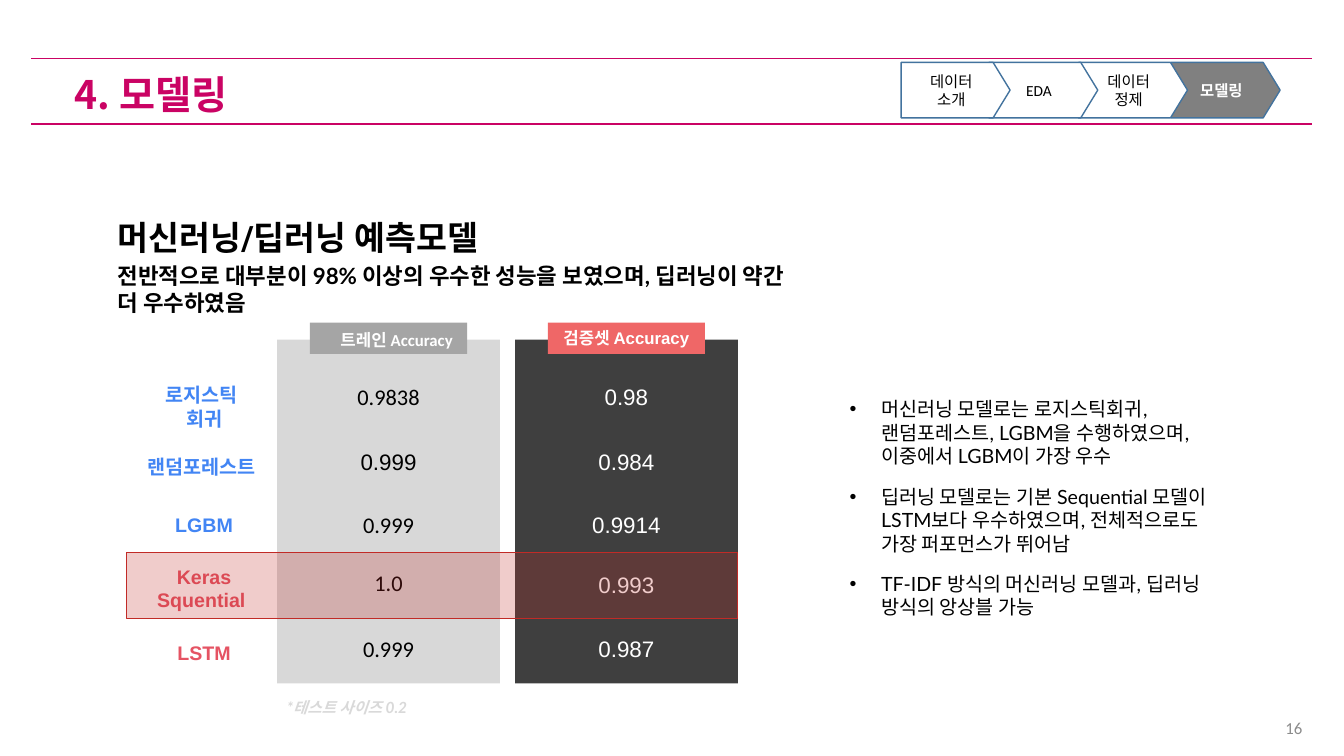
"""Build the modelling results slide that compares model accuracies."""
from dataclasses import dataclass

from lxml import etree
from pptx import Presentation
from pptx.dml.color import RGBColor
from pptx.enum.shapes import MSO_CONNECTOR, MSO_SHAPE
from pptx.enum.text import MSO_ANCHOR, PP_ALIGN
from pptx.oxml.ns import qn
from pptx.util import Pt

LEFT, CENTER, RIGHT = PP_ALIGN.LEFT, PP_ALIGN.CENTER, PP_ALIGN.RIGHT
TOP, MIDDLE = MSO_ANCHOR.TOP, MSO_ANCHOR.MIDDLE
RECTANGLE, PENTAGON = MSO_SHAPE.RECTANGLE, MSO_SHAPE.PENTAGON
STRAIGHT = MSO_CONNECTOR.STRAIGHT


@dataclass(frozen=True)
class Theme:
    """Colours, fonts and type sizes of the slide."""
    accent: str = "CA0364"
    black: str = "000000"
    white: str = "FFFFFF"
    page_grey: str = "8C8C8C"
    step_line: str = "43739E"
    step_active: str = "808080"
    train: str = "D8D8D8"
    train_tag: str = "A5A5A5"
    valid: str = "3F3F3F"
    valid_tag: str = "EF6767"
    machine: str = "4285F4"
    deep: str = "E55363"
    best: str = "C12B27"
    note_grey: str = "D9D9D9"
    korean: str = "Noto Sans CJK KR"
    plain: str = "Calibri"
    sans: str = "Arial"
    body: str = "Lato"
    display: str = "Roboto"
    title_size: int = 28
    heading_size: int = 24
    value_size: int = 16
    label_size: int = 14
    tag_size: int = 12
    small_size: int = 11


THEME = Theme()
TITLE = "4. 모델링"
PAGE = "16"
HEADING = "머신러닝/딥러닝 예측모델"
SUMMARY = "전반적으로 대부분이 98% 이상의 우수한 성능을 보였으며, 딥러닝이 약간 더 우수하였음"
NOTE = "*테스트 사이즈 0.2"
FINDINGS = "\n".join([
    "머신러닝 모델로는 로지스틱회귀, 랜덤포레스트, LGBM을 수행하였으며, 이중에서 LGBM이 가장 우수",
    "딥러닝 모델로는 기본 Sequential 모델이 LSTM보다 우수하였으며, 전체적으로도 가장 퍼포먼스가 뛰어남",
    "TF-IDF 방식의 머신러닝 모델과, 딥러닝 방식의 앙상블 가능",
])
STEPS = [("데이터\n소개", 643.7), ("EDA", 706.3), ("데이터\n정제", 770.4), ("모델링", 836.6)]
COLUMNS = [
    dict(tag="트레인 Accuracy", left=198, fill=THEME.train, tag_fill=THEME.train_tag,
         tag_font=THEME.plain, tag_shift=5.8, tag_top=231.8, ink=THEME.black),
    dict(tag="검증셋 Accuracy", left=367.9, fill=THEME.valid, tag_fill=THEME.valid_tag,
         tag_font=THEME.sans, tag_shift=0, tag_top=230.4, ink=THEME.white),
]
MODELS = [
    ("로지스틱 \n회귀", THEME.machine, 270, [("0.9838", 270, THEME.plain), ("0.98", 270, THEME.sans)]),
    ("랜덤포레스트 ", THEME.machine, 321.1, [("0.999", 316.8, THEME.sans), ("0.984", 316.8, THEME.sans)]),
    ("LGBM", THEME.machine, 362.9, [("0.999", 361.4, THEME.plain), ("0.9914", 361.4, THEME.sans)]),
    ("Keras Squential ", THEME.deep, 399.6, [("1.0", 403.2, THEME.plain), ("0.993", 404.6, THEME.sans)]),
    ("LSTM", THEME.deep, 454.3, [("0.999", 450, THEME.plain), ("0.987", 450, THEME.sans)]),
]
COLUMN_WIDTH, TAG_WIDTH, VALUE_WIDTH = 159.1, 112.3, 86.4
LABEL_CENTER, LABEL_WIDTH = 145.8, 102
RULE_LEFT, RULE_RIGHT = 22.3, 937.4

deck = Presentation()
deck.slide_width, deck.slide_height = Pt(960), Pt(540)
slide = deck.slides.add_slide(deck.slide_layouts[6])


def points(*lengths):
    """Turn numbers into point lengths."""
    return [Pt(length) for length in lengths]


def draw(kind, box, fill, line=None, weight=1, opacity=None):
    """Add a filled preset shape."""
    shape = slide.shapes.add_shape(kind, *points(*box))
    shape.shadow.inherit = False
    shape.fill.solid()
    shape.fill.fore_color.rgb = RGBColor.from_string(fill)
    if opacity:
        color = shape._element.spPr.find(qn("a:solidFill"))[0]
        etree.SubElement(color, qn("a:alpha")).set("val", str(opacity * 1000))
    if line:
        shape.line.color.rgb = RGBColor.from_string(line)
        shape.line.width = Pt(weight)
    else:
        shape.line.fill.background()
    return shape


def write(text, box=None, host=None, size=14, font=THEME.body, color=THEME.black, bold=False,
          italic=False, align=LEFT, anchor=TOP, wrap=True, before=0, after=0, spacing=1, bullet=None):
    """Write one paragraph per line in a new text box or in a host shape."""
    host = host or slide.shapes.add_textbox(*points(*box))
    frame = host.text_frame
    frame.word_wrap = wrap
    frame.vertical_anchor = anchor
    for index, line in enumerate(text.split("\n")):
        paragraph = frame.add_paragraph() if index else frame.paragraphs[0]
        paragraph.alignment = align
        paragraph.space_before, paragraph.space_after = Pt(before), Pt(after)
        paragraph.line_spacing = spacing
        if bullet:
            properties = paragraph._p.get_or_add_pPr()
            properties.set("marL", str(Pt(22.5)))
            properties.set("indent", str(-Pt(22.5)))
            etree.SubElement(properties, qn("a:buFont")).set("typeface", THEME.sans)
            etree.SubElement(properties, qn("a:buChar")).set("char", bullet)
        run = paragraph.add_run()
        run.text = line
        run.font.size, run.font.name = Pt(size), font
        run.font.bold, run.font.italic = bold, italic
        run.font.color.rgb = RGBColor.from_string(color)
        etree.SubElement(run._r.rPr, qn("a:ea")).set("typeface", THEME.korean)


def rule(top):
    """Draw one horizontal header line."""
    line = slide.shapes.add_connector(STRAIGHT, *points(RULE_LEFT, top, RULE_RIGHT, top))
    line.line.color.rgb = RGBColor.from_string(THEME.accent)
    line.line.width = Pt(1)
    etree.SubElement(line._element.spPr, qn("a:effectLst"))


def build_header():
    """Draw the title band, the step arrows and the page number."""
    for top in (41.8, 88.6):
        rule(top)
    write(PAGE, (721.4, 505.4, 216, 28.8), size=THEME.tag_size, font=THEME.plain,
          color=THEME.page_grey, align=RIGHT, anchor=MIDDLE)
    write(TITLE, (46.1, 49, 915, 39.6), size=THEME.title_size, font=THEME.korean,
          color=THEME.accent, bold=True, anchor=MIDDLE, before=10, spacing=0.9)
    for step, left in reversed(STEPS):
        active = step == TITLE.split()[-1]
        arrow = draw(PENTAGON, (left, 44.6, 77.8, 39.6),
                     THEME.step_active if active else THEME.white, THEME.step_line)
        arrow.adjustments[0] = 0.306
        write(step, host=arrow, size=THEME.small_size, font=THEME.plain, bold=active,
              color=THEME.white if active else THEME.black, align=CENTER, anchor=MIDDLE)


def build_comparison():
    """Draw the two accuracy columns with the model rows."""
    for column in COLUMNS:
        draw(RECTANGLE, (column["left"], 242.6, COLUMN_WIDTH, 245.5), column["fill"])
        tag_left = column["left"] + (COLUMN_WIDTH - TAG_WIDTH) / 2
        draw(RECTANGLE, (tag_left, 230.4, TAG_WIDTH, 22.3), column["tag_fill"])
        write(column["tag"], (tag_left - 8 + column["tag_shift"], column["tag_top"], TAG_WIDTH + 16, 24.5),
              size=THEME.tag_size, font=column["tag_font"], color=THEME.white, bold=True, align=CENTER)
    for model, color, label_top, scores in MODELS:
        write(model, (LABEL_CENTER - LABEL_WIDTH / 2, label_top, LABEL_WIDTH, 27.4),
              size=THEME.label_size, font=THEME.sans, color=color, bold=True, align=CENTER)
        for column, (score, top, font) in zip(COLUMNS, scores):
            left = column["left"] + (COLUMN_WIDTH - VALUE_WIDTH) / 2
            write(score, (left, top, VALUE_WIDTH, 25.2), size=THEME.value_size, font=font,
                  color=column["ink"], align=CENTER)
    draw(RECTANGLE, (90.7, 394.6, 436.3, 47.5), THEME.best, THEME.best, weight=0.75, opacity=24)


def build_commentary():
    """Write the heading, the summary, the findings and the note."""
    write(NOTE, (198, 495.4, 111.6, 23), size=THEME.small_size, color=THEME.note_grey,
          bold=True, italic=True, wrap=False, after=18)
    write(FINDINGS, (599.8, 280.1, 291.6, 167), size=THEME.label_size, after=12, bullet="•")
    write(HEADING, (77, 151.2, 464.4, 36), size=THEME.heading_size, font=THEME.display, bold=True, after=18)
    write(SUMMARY, (77, 183.6, 504, 46.1), size=THEME.value_size, bold=True, after=18)


if __name__ == "__main__":
    build_header()
    build_comparison()
    build_commentary()
    deck.save("out.pptx")
